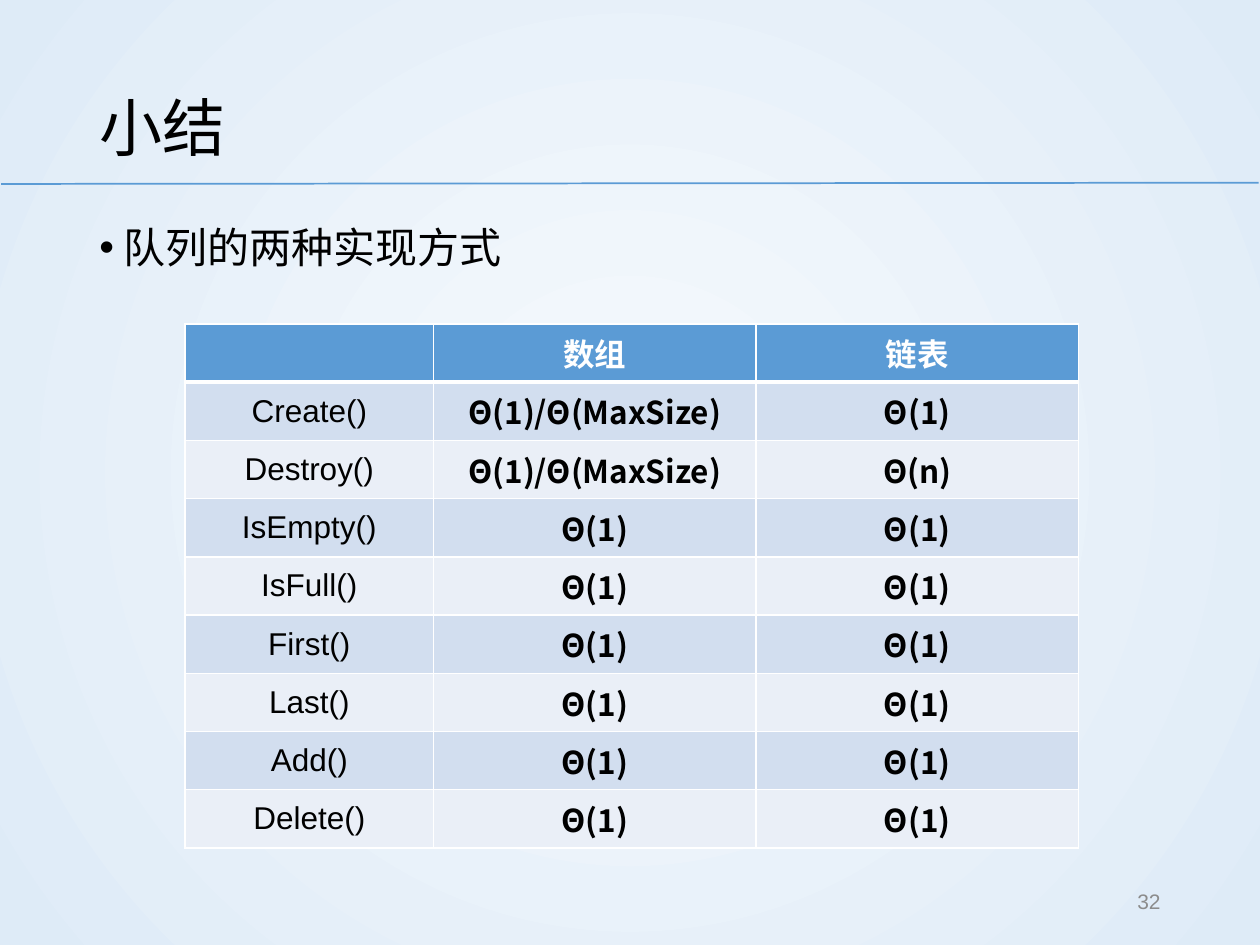
from lxml import etree
from pptx import Presentation
from pptx.dml.color import RGBColor
from pptx.enum.shapes import MSO_CONNECTOR
from pptx.enum.text import MSO_ANCHOR, PP_ALIGN
from pptx.oxml.ns import qn
from pptx.util import Inches, Pt

STRAIGHT = MSO_CONNECTOR.STRAIGHT
TOP, MIDDLE = MSO_ANCHOR.TOP, MSO_ANCHOR.MIDDLE
LEFT, CENTER, RIGHT = PP_ALIGN.LEFT, PP_ALIGN.CENTER, PP_ALIGN.RIGHT
SANS, CJK = "Arial", "Noto Sans CJK SC"
BLACK, WHITE, BLUE, GRAY = "000000", "FFFFFF", "5B9BD5", "8C8C8C"
BANDS = ("D2DEEF", "EAEFF7")

HEADER = ("", "数组", "链表")
CREATE_COST = "Θ(1)/Θ(MaxSize)"
CONSTANT = "Θ(1)"
OPERATIONS = [
    ("Create()", CREATE_COST, CONSTANT),
    ("Destroy()", CREATE_COST, "Θ(n)"),
] + [
    (name, CONSTANT, CONSTANT)
    for name in ("IsEmpty()", "IsFull()", "First()", "Last()", "Add()", "Delete()")
]


def rgb(color):
    return RGBColor.from_string(color)


def add_run(p, text, size, font, color, bold=False):
    r = p.add_run()
    r.text = text
    r.font.size = Pt(size)
    r.font.name = font
    r.font.bold = bold
    r.font.color.rgb = rgb(color)
    etree.SubElement(r.font._element, qn("a:ea")).set("typeface", CJK)


def add_text(s, box, text, size, font, color, anchor=TOP, align=LEFT, spacing=1.0, bullet=None):
    tf = s.shapes.add_textbox(*map(Inches, box)).text_frame
    tf.word_wrap = True
    tf.vertical_anchor = anchor
    p = tf.paragraphs[0]
    p.alignment = align
    p.line_spacing = spacing
    if bullet:
        pPr = p._p.get_or_add_pPr()
        pPr.set("marL", str(Inches(0.19)))
        pPr.set("indent", str(Inches(-0.19)))
        etree.SubElement(pPr, qn("a:buFont")).set("typeface", SANS)
        etree.SubElement(pPr, qn("a:buChar")).set("char", bullet)
    add_run(p, text, size, font, color)


def add_background(s):
    fill = s.background.fill
    fill.gradient()
    for stop, color in zip(fill.gradient_stops, ("F7FAFD", "DEEBF7")):
        stop.color.rgb = rgb(color)
    grad = next(s.element.iter(qn("a:gradFill")))
    grad.remove(grad.find(qn("a:lin")))
    circle = etree.SubElement(grad, qn("a:path"), path="circle")
    etree.SubElement(circle, qn("a:fillToRect"), l="50000", t="50000", r="50000", b="50000")


def add_title(s, box):
    left, top, width, height = box
    rule = s.shapes.add_connector(
        STRAIGHT, Inches(0.01), Inches(top + 1.06), Inches(9.99), Inches(top + 1.05)
    )
    rule.line.color.rgb = rgb(BLUE)
    rule.line.width = Pt(1)
    etree.SubElement(rule._element.spPr, qn("a:effectLst"))
    add_text(s, box, "小结", 36, CJK, BLACK, MIDDLE, spacing=1.2)


def set_borders(cell, bottom):
    tcPr = cell._tc.get_or_add_tcPr()
    for i, (side, width) in enumerate((("L", 1), ("R", 1), ("T", 1), ("B", bottom))):
        ln = etree.Element(qn(f"a:ln{side}"), w=str(Pt(width)))
        fill = etree.SubElement(ln, qn("a:solidFill"))
        etree.SubElement(fill, qn("a:srgbClr"), val=WHITE)
        tcPr.insert(i, ln)


def fill_cell(cell, text, fill, font, color, bold, bottom=1):
    cell.fill.solid()
    cell.fill.fore_color.rgb = rgb(fill)
    cell.vertical_anchor = MIDDLE
    set_borders(cell, bottom)
    p = cell.text_frame.paragraphs[0]
    p.alignment = CENTER
    if text:
        add_run(p, text, 18, font, color, bold)


def add_cost_table(s, box):
    rows = len(OPERATIONS) + 1
    table = s.shapes.add_table(rows, len(HEADER), *map(Inches, box)).table
    for column, width in zip(table.columns, (1.97, 2.56, 2.56)):
        column.width = Inches(width)
    for c, text in enumerate(HEADER):
        fill_cell(table.cell(0, c), text, BLUE, SANS, WHITE, True, bottom=3)
    for i, operation in enumerate(OPERATIONS):
        for c, text in enumerate(operation):
            font = CJK if c else SANS
            fill_cell(table.cell(i + 1, c), text, BANDS[i % 2], font, BLACK, c > 0)


def main():
    prs = Presentation()
    prs.slide_width, prs.slide_height = Inches(10), Inches(7.5)
    s = prs.slides.add_slide(prs.slide_layouts[6])
    add_background(s)
    add_title(s, (0.69, 0.4, 8.62, 1.08))
    add_text(s, (0.69, 1.63, 8.62, 5.13), "队列的两种实现方式", 24, CJK, BLACK,
             spacing=1.2, bullet="•")
    add_text(s, (7.06, 6.95, 2.25, 0.4), "32", 12, SANS, GRAY, MIDDLE, RIGHT)
    add_cost_table(s, (1.47, 2.57, 7.09, 4.16))
    prs.save("out.pptx")


if __name__ == "__main__":
    main()
